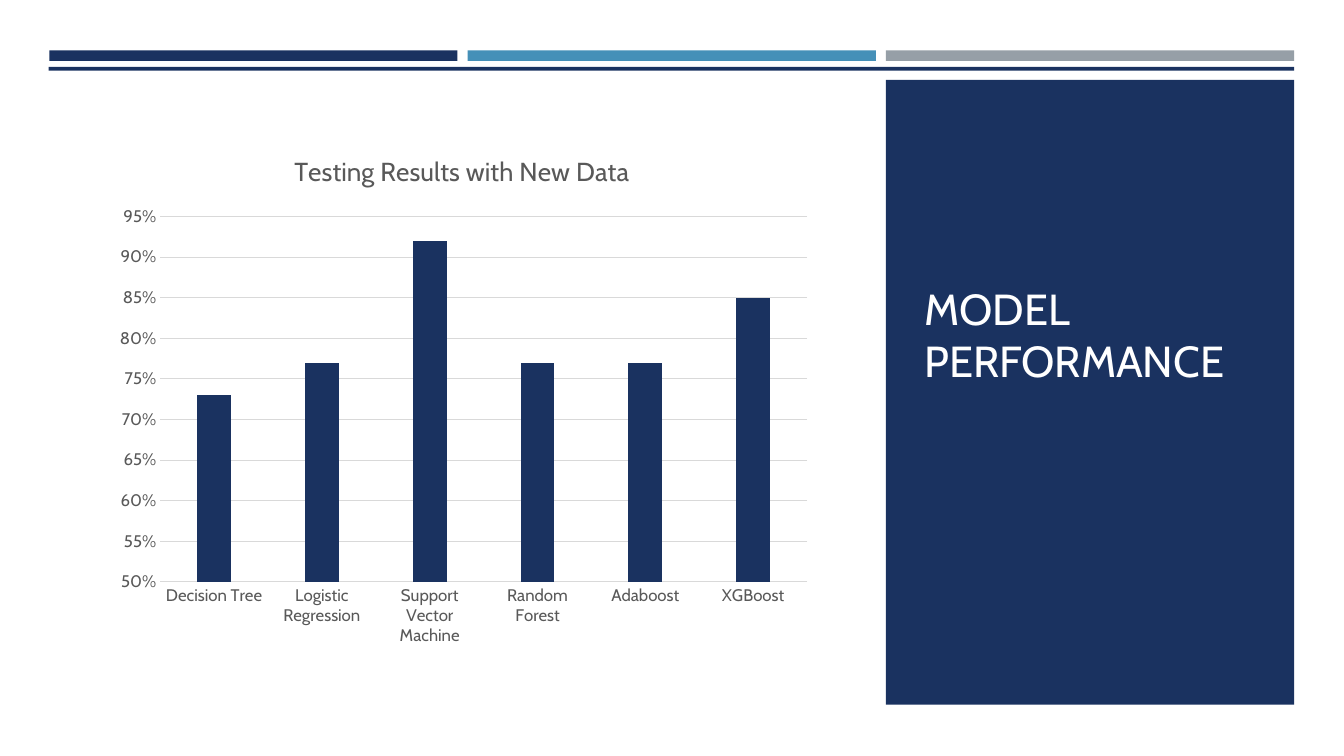
"""Build a slide with a column chart of model test results."""
from lxml.etree import SubElement
from pptx import Presentation
from pptx.chart.data import CategoryChartData
from pptx.dml.color import RGBColor
from pptx.enum.chart import XL_CHART_TYPE, XL_TICK_MARK
from pptx.enum.shapes import MSO_SHAPE
from pptx.enum.text import MSO_ANCHOR, MSO_AUTO_SIZE, PP_ALIGN
from pptx.oxml.ns import qn
from pptx.util import Pt

NAVY, BLUE, GREY, WHITE = "1A3260", "4590B8", "969FA7", "FFFFFF"
LABEL, GRID = "595959", "D9D9D9"

RESULTS = {
    "Decision Tree": 0.73,
    "Logistic Regression": 0.77,
    "Support Vector Machine": 0.92,
    "Random Forest": 0.77,
    "Adaboost": 0.77,
    "XGBoost": 0.85,
}


def colour(code):
    """Turn a hex string into a colour."""
    return RGBColor.from_string(code)


class Slide:
    """Hold the font and the current page, and draw its elements."""

    def __init__(self, page, font):
        """Keep the page and the font name."""
        self.page = page
        self.font_name = font

    def style(self, font, size, code):
        """Set the face, size and colour of a font."""
        font.name = self.font_name
        font.size = Pt(size)
        font.bold = False
        font.color.rgb = colour(code)

    def block(self, left, top, width, height, code):
        """Draw a plain filled rectangle."""
        box = self.page.shapes.add_shape(
            MSO_SHAPE.RECTANGLE, Pt(left), Pt(top), Pt(width), Pt(height))
        box.shadow.inherit = False
        box.fill.solid()
        box.fill.fore_color.rgb = colour(code)
        box.line.fill.background()

    def title(self, text, left, top, width, height):
        """Fill the title placeholder and bring it to the front."""
        box = self.page.shapes.title
        box.left, box.top, box.width, box.height = map(Pt, (left, top, width, height))
        box.element.getparent().append(box.element)
        frame = box.text_frame
        frame.word_wrap = True
        frame.auto_size = MSO_AUTO_SIZE.NONE
        frame.vertical_anchor = MSO_ANCHOR.BOTTOM
        frame.margin_bottom = Pt(0)
        para = frame.paragraphs[0]
        para.alignment = PP_ALIGN.LEFT
        span = para.add_run()
        span.text = text
        self.style(span.font, 31, WHITE)

    def columns(self, heading, results, left, top, width, height):
        """Add a column chart of percentages."""
        data = CategoryChartData(number_format="0%")
        data.categories = list(results)
        data.add_series("Series 1", list(results.values()))
        chart = self.page.shapes.add_chart(
            XL_CHART_TYPE.COLUMN_CLUSTERED,
            Pt(left), Pt(top), Pt(width), Pt(height), data).chart
        self.style(chart.font, 10, "000000")
        chart.has_legend = False
        chart.has_title = True
        span = chart.chart_title.text_frame.paragraphs[0].add_run()
        span.text = heading
        self.style(span.font, 18.6, LABEL)

        plot = chart.plots[0]
        plot.gap_width, plot.overlap = 219, -27
        plot.vary_by_categories = False
        fill = plot.series[0].format.fill
        fill.solid()
        fill.fore_color.rgb = colour(NAVY)

        for axis in (chart.category_axis, chart.value_axis):
            axis.major_tick_mark = axis.minor_tick_mark = XL_TICK_MARK.NONE
            self.style(axis.tick_labels.font, 12, LABEL)
        values = chart.value_axis
        values.minimum_scale, values.maximum_scale, values.major_unit = 0.5, 0.95, 0.05
        values.tick_labels.number_format = "0%"
        values.tick_labels.number_format_is_linked = False
        values.format.line.fill.background()
        values.has_major_gridlines = True
        for line in (chart.category_axis.format.line, values.major_gridlines.format.line):
            line.color.rgb = colour(GRID)
            line.width = Pt(0.75)
        self.place_plot(chart, x=0.08, y=0.16, w=0.9, h=0.7)

    def place_plot(self, chart, **shares):
        """Fix the inner plot area as shares of the chart."""
        area = chart.element.find(".//" + qn("c:plotArea"))
        for layout in area.findall(qn("c:layout")):
            area.remove(layout)
        layout = SubElement(area, qn("c:layout"))
        area.insert(0, layout)
        manual = SubElement(layout, qn("c:manualLayout"))
        SubElement(manual, qn("c:layoutTarget")).set("val", "inner")
        for side in "xy":
            SubElement(manual, qn(f"c:{side}Mode")).set("val", "edge")
        for name, share in shares.items():
            SubElement(manual, qn(f"c:{name}")).set("val", str(share))


def main():
    """Build and save the deck."""
    deck = Presentation()
    deck.slide_width, deck.slide_height = Pt(960), Pt(540)
    slide = Slide(deck.slides.add_slide(deck.slide_layouts[5]), "Cabin")

    left, width, step = 35.2, 291.6, 298.8
    slide.block(34.8, 47.8, 889.6, 99, NAVY)
    for index, code in enumerate((NAVY, BLUE, GREY)):
        slide.block(left + index * step, 36, width, 7.6, code)
    slide.block(0, 50.4, 960, 489.6, WHITE)
    slide.block(left + 2 * step, 57, width, 446.4, NAVY)

    slide.title("MODEL PERFORMANCE", 653, 111.6, 242.6, 164.2)
    slide.columns("Testing Results with New Data", RESULTS, 73.4, 95, 513.4, 373)
    deck.save("out.pptx")


if __name__ == "__main__":
    main()
